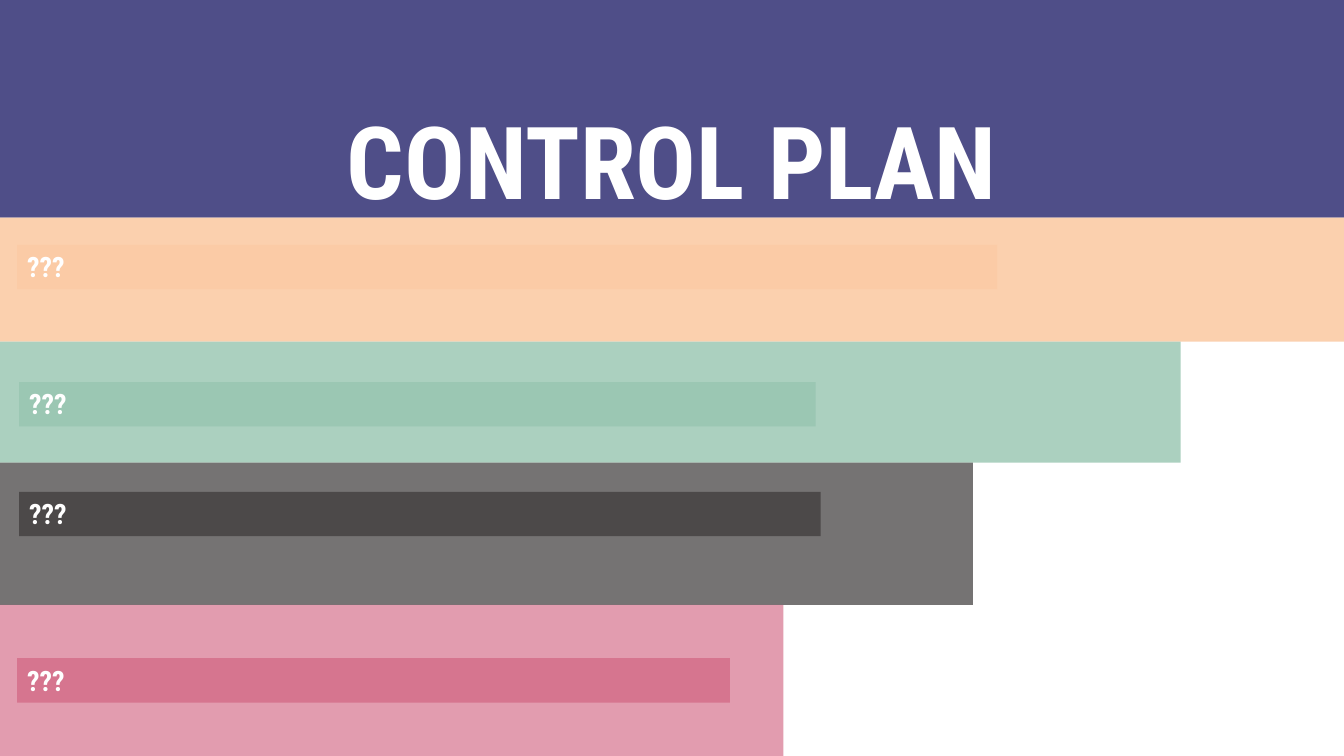
from dataclasses import dataclass

from lxml import etree
from pptx import Presentation
from pptx.dml.color import RGBColor
from pptx.enum.shapes import MSO_SHAPE
from pptx.enum.text import MSO_ANCHOR, MSO_AUTO_SIZE, PP_ALIGN
from pptx.oxml.ns import qn
from pptx.shapes.autoshape import Shape
from pptx.util import Inches, Pt

RECTANGLE = MSO_SHAPE.RECTANGLE
TOP = MSO_ANCHOR.TOP
FIT_SHAPE = MSO_AUTO_SIZE.SHAPE_TO_FIT_TEXT
LEFT, CENTER = PP_ALIGN.LEFT, PP_ALIGN.CENTER
TITLE_ONLY = 5
SLIDE_WIDTH, SLIDE_HEIGHT = 13.33, 7.5
HEADER_HEIGHT = 2.16
LABEL_HEIGHT = 0.44
FONT = "Roboto Condensed"
WHITE = "FFFFFF"


@dataclass(frozen=True)
class Step:
    color: str
    opacity: int
    width: float
    height: float
    label_left: float
    label_offset: float
    label_width: float
    label: str = "???"


STEPS = [
    Step("FBCBA6", 90, SLIDE_WIDTH, 1.23, 0.17, 0.27, 9.72),
    Step("97C5B0", 80, 11.71, 1.2, 0.19, 0.4, 7.9),
    Step("3B3838", 70, 9.65, 1.41, 0.19, 0.29, 7.95),
    Step("CF5B7A", 60, 7.77, 1.5, 0.17, 0.53, 7.07),
]


def rgb(color: str) -> RGBColor:
    return RGBColor.from_string(color)


def add_band(shapes, left: float, top: float, width: float, height: float,
             color: str, opacity: int = 100) -> Shape:
    band = shapes.add_shape(RECTANGLE, Inches(left), Inches(top), Inches(width), Inches(height))
    band.shadow.inherit = False
    band.line.fill.background()
    band.fill.solid()
    band.fill.fore_color.rgb = rgb(color)
    if opacity < 100:
        fill_color = band.element.spPr.find(qn("a:solidFill"))[0]
        etree.SubElement(fill_color, qn("a:alpha")).set("val", str(opacity * 1000))
    return band


def write_text(shape: Shape, text: str, size: int, alignment: PP_ALIGN) -> None:
    frame = shape.text_frame
    frame.text = text
    frame.word_wrap = True
    frame.auto_size = FIT_SHAPE
    frame.vertical_anchor = TOP
    paragraph = frame.paragraphs[0]
    paragraph.alignment = alignment
    paragraph.font.name = FONT
    paragraph.font.size = Pt(size)
    paragraph.font.bold = True
    paragraph.font.color.rgb = rgb(WHITE)


def add_step(slide, step: Step, top: float) -> None:
    shapes = slide.shapes.add_group_shape().shapes
    add_band(shapes, 0, top, step.width, step.height, step.color, step.opacity)
    label = add_band(shapes, step.label_left, top + step.label_offset,
                     step.label_width, LABEL_HEIGHT, step.color, step.opacity)
    write_text(label, step.label, 20, LEFT)


def main() -> None:
    presentation = Presentation()
    presentation.slide_width = Inches(SLIDE_WIDTH)
    presentation.slide_height = Inches(SLIDE_HEIGHT)
    slide = presentation.slides.add_slide(presentation.slide_layouts[TITLE_ONLY])

    header = add_band(slide.shapes, 0, 0, SLIDE_WIDTH, HEADER_HEIGHT, "4F4E88")
    title = slide.shapes.title
    title.left, title.top = Inches(0), Inches(0.93)
    title.width, title.height = Inches(SLIDE_WIDTH), Inches(1.31)
    write_text(title, "CONTROL PLAN", 72, CENTER)
    header.element.addnext(title.element)

    top = HEADER_HEIGHT
    for step in STEPS:
        add_step(slide, step, top)
        top += step.height

    presentation.save("out.pptx")


if __name__ == "__main__":
    main()
